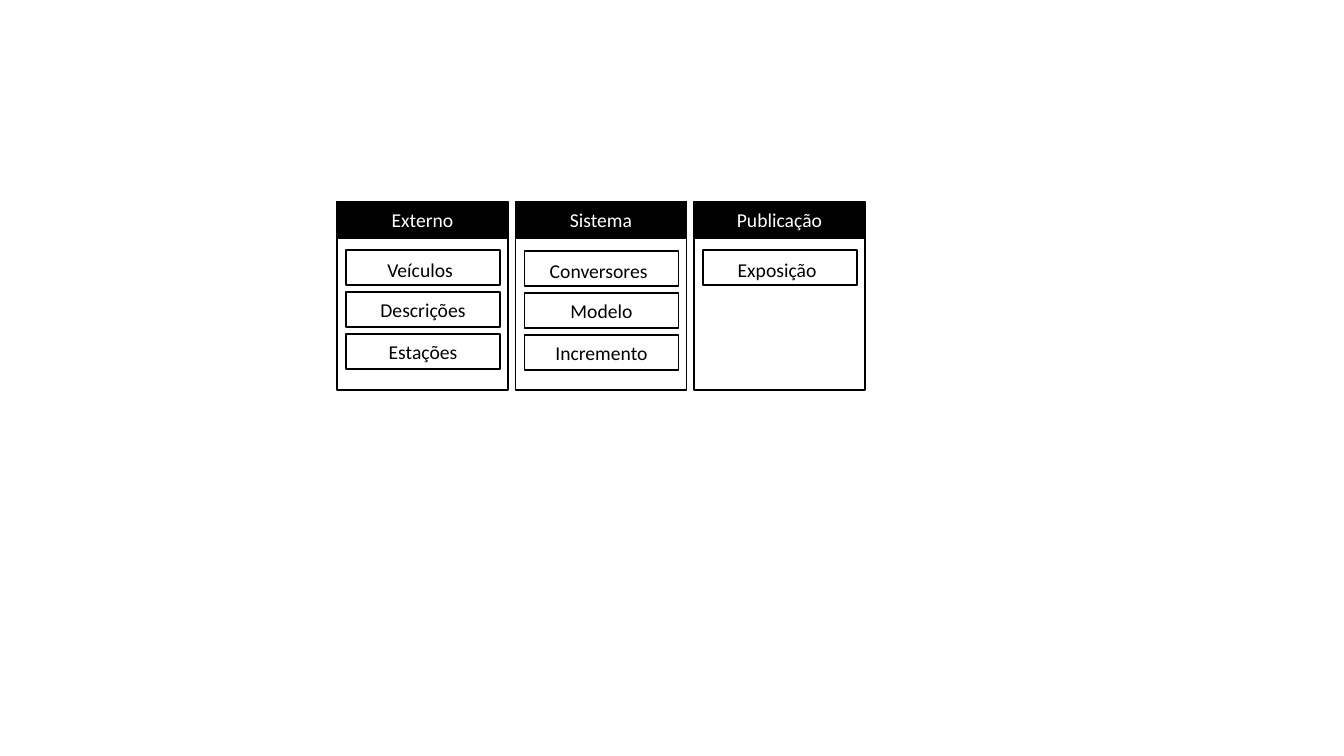
from pptx import Presentation
from pptx import util as u
from pptx.dml.color import RGBColor
from pptx.enum import shapes, text

PIXEL = 914400 / 100.8
BLACK, WHITE = "000000", "FFFFFF"

presentation = Presentation()
presentation.slide_width = round(1344 * PIXEL)
presentation.slide_height = round(756 * PIXEL)
slide = presentation.slides.add_slide(presentation.slide_layouts[6])


def color(value):
    return RGBColor.from_string(value)


def add_box(left, top, width, height, fill, runs=()):
    """Draw an outlined rectangle with centred runs of (words, size, colour)."""
    bounds = [round(length * PIXEL) for length in (left, top, width, height)]
    shape = slide.shapes.add_shape(shapes.MSO_SHAPE.RECTANGLE, *bounds)
    shape.shadow.inherit = False
    shape.fill.solid()
    shape.fill.fore_color.rgb = color(fill)
    shape.line.color.rgb = color(BLACK)
    shape.line.width = u.Pt(1)
    shape.text_frame.vertical_anchor = text.MSO_ANCHOR.MIDDLE
    paragraph = shape.text_frame.paragraphs[0]
    paragraph.alignment = text.PP_ALIGN.CENTER
    for words, size, font_color in runs:
        run = paragraph.add_run()
        run.text = words
        for name, value in {"name": "Calibri", "size": u.Pt(size)}.items():
            setattr(run.font, name, value)
        run.font.color.rgb = color(font_color)


# Column title, top of its first item, items
columns = [
    ("Externo", 250, ["Veículos", "Descrições", "Estações"]),
    ("Sistema", 251, ["Conversores", "Modelo", "Incremento"]),
    ("Publicação", 250, ["Exposição"]),
]

for index, (title, first_top, items) in enumerate(columns):
    # Panel and its header
    left = 337 + 178.5 * index
    add_box(left, 202, 171, 188, WHITE)
    add_box(left, 202, 171, 36, BLACK, [(title, 14, WHITE)])

    # Stacked items; the first ends in a larger no-break space
    for row, item in enumerate(items):
        runs = [(item, 14, BLACK)]
        if row == 0:
            runs.append(("\u00a0", 18, BLACK))
        add_box(left + 9, first_top + 42 * row, 154, 35, WHITE, runs)

presentation.save("out.pptx")
